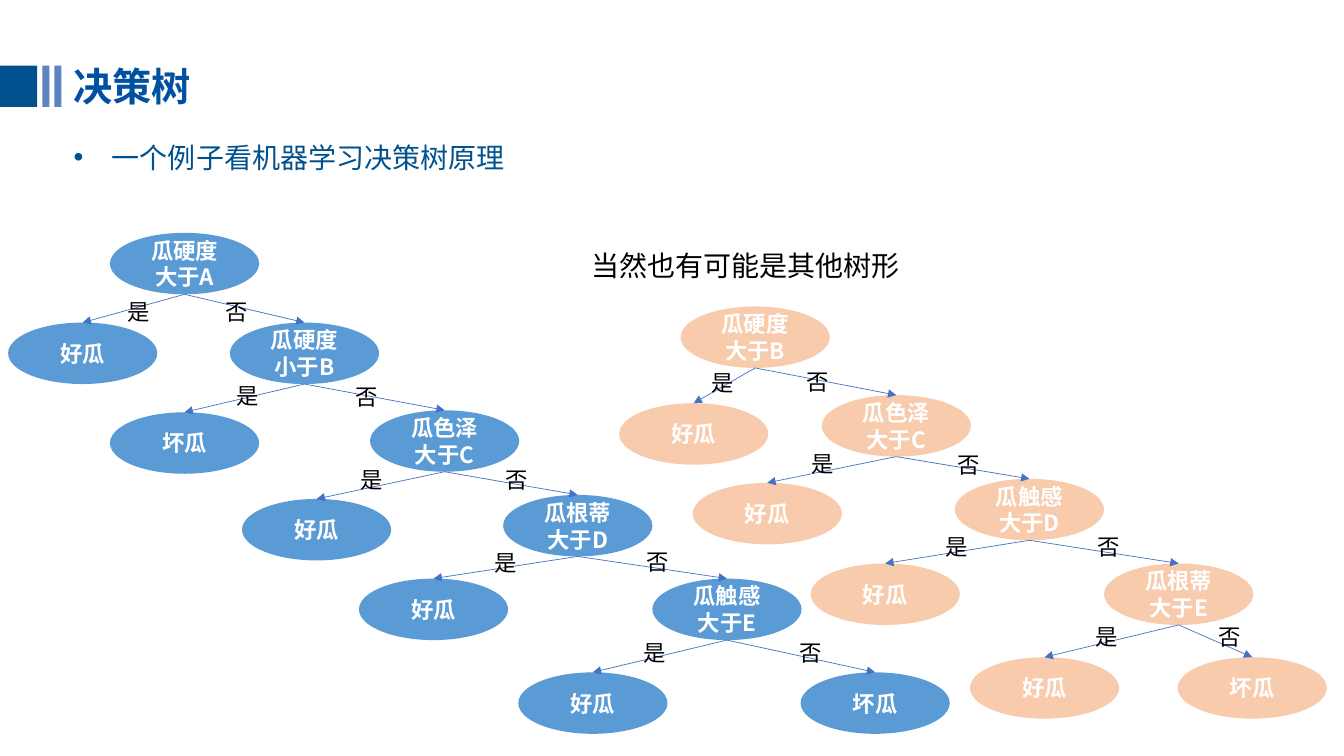
from dataclasses import dataclass

import pptx
import pptx.dml.color
import pptx.enum.shapes
import pptx.enum.text
import pptx.oxml
import pptx.oxml.ns
import pptx.util
from pptx.util import Inches

ALIGN = pptx.enum.text.PP_ALIGN
ANCHOR = pptx.enum.text.MSO_ANCHOR
SHAPE = pptx.enum.shapes.MSO_SHAPE
qn = pptx.oxml.ns.qn


@dataclass(frozen=True)
class Theme:
    font: str = "Noto Sans CJK SC"
    title: str = "0051A1"
    accent: str = "00518E"
    stripe: str = "5C84C1"
    first_tree: str = "5B9BD5"
    other_tree: str = "F8CBAD"
    branch: str = "4472C4"
    ink: str = "000000"
    node_ink: str = "FFFFFF"
    title_size: int = 28
    body_size: int = 20
    node_size: int = 16
    branch_width: float = 0.5


@dataclass(frozen=True)
class Level:
    """One question, its yes leaf, and both answers; points are relative to the tree."""
    question: str
    question_at: tuple
    leaf: str
    leaf_at: tuple
    yes_at: tuple
    no_at: tuple


THEME = Theme()
NODE_W, NODE_H = 1.48, 0.61
ANSWER_W, ANSWER_H = 0.69, 0.37

FIRST_TREE = [
    Level("瓜硬度\n大于A", (1.01, 0), "好瓜", (0, 0.89), (0.95, 0.6), (1.92, 0.6)),
    Level("瓜硬度\n小于B", (2.2, 0.89), "坏瓜", (1.01, 1.78), (2.03, 1.43), (3.21, 1.44)),
    Level("瓜色泽\n大于C", (3.59, 1.76), "好瓜", (2.32, 2.64), (3.26, 2.27), (4.7, 2.27)),
    Level("瓜根蒂大于D", (4.91, 2.6), "好瓜", (3.48, 3.43), (4.59, 3.09), (6.1, 3.08)),
    Level("瓜触感大于E", (6.39, 3.43), "好瓜", (5.06, 4.36), (6.07, 3.98), (7.62, 3.98)),
]
OTHER_TREE = [
    Level("瓜硬度\n大于B", (0.61, 0), "好瓜", (0, 0.96), (0.68, 0.57), (1.62, 0.56)),
    Level("瓜色泽\n大于C", (2.01, 0.88), "好瓜", (0.73, 1.75), (1.67, 1.38), (3.12, 1.39)),
    Level("瓜触感\n大于D", (3.33, 1.71), "好瓜", (1.9, 2.55), (3, 2.2), (4.51, 2.2)),
    Level("瓜根蒂大于E", (4.81, 2.55), "好瓜", (3.48, 3.48), (4.49, 3.09), (5.71, 3.09)),
]


def rgb(color):
    return pptx.dml.color.RGBColor.from_string(color)


def write(frame, text, size, color, bold=False, align=ALIGN.CENTER, anchor=ANCHOR.TOP):
    """Fill a text frame, one paragraph per line of text."""
    frame.word_wrap = True
    frame.vertical_anchor = anchor
    for index, line in enumerate(text.split("\n")):
        paragraph = frame.add_paragraph() if index else frame.paragraphs[0]
        paragraph.alignment = align
        paragraph.space_before = pptx.util.Pt(0)
        run = paragraph.add_run()
        run.text = line
        run.font.size = pptx.util.Pt(size)
        run.font.bold = bold
        run.font.color.rgb = rgb(color)
        run.font.name = THEME.font
        east_asian = pptx.oxml.parse_xml(f'<a:ea {pptx.oxml.ns.nsdecls("a")}/>')
        east_asian.set("typeface", THEME.font)
        run.font._element.append(east_asian)


def add_filled(shapes, preset, left, top, width, height, color):
    shape = shapes.add_shape(preset, Inches(left), Inches(top), Inches(width), Inches(height))
    shape.shadow.inherit = False
    shape.fill.solid()
    shape.fill.fore_color.rgb = rgb(color)
    shape.line.fill.background()
    return shape


def add_label(shapes, text, left, top, width, height, size):
    label = shapes.add_textbox(Inches(left), Inches(top), Inches(width), Inches(height))
    write(label.text_frame, text, size, THEME.ink)
    return label


def place(placeholder, left, top, width, height):
    placeholder.left, placeholder.top = Inches(left), Inches(top)
    placeholder.width, placeholder.height = Inches(width), Inches(height)
    placeholder.text_frame.auto_size = pptx.enum.text.MSO_AUTO_SIZE.NONE


def add_heading(slide, left, top, width, height):
    place(slide.shapes.title, left + 0.63, top - 0.08, width, height + 0.16)
    write(slide.shapes.title.text_frame, "决策树", THEME.title_size, THEME.title,
          bold=True, align=ALIGN.LEFT)
    bars = [(0, 0.37, THEME.accent), (0.42, 0.07, THEME.stripe), (0.54, 0.07, THEME.stripe)]
    for offset, bar_width, color in bars:
        add_filled(slide.shapes, SHAPE.RECTANGLE, left + offset, top, bar_width, height, color)


def add_topic(slide, left, top, width, height):
    topic = slide.placeholders[1]
    place(topic, left, top, width, height)
    properties = topic.text_frame.paragraphs[0]._p.get_or_add_pPr()
    properties.set("marL", str(Inches(0.38)))
    properties.set("indent", str(Inches(-0.38)))
    properties.append(pptx.oxml.parse_xml(
        f'<a:buFont {pptx.oxml.ns.nsdecls("a")} typeface="Arial"/>'))
    properties.append(pptx.oxml.parse_xml(
        f'<a:buChar {pptx.oxml.ns.nsdecls("a")} char="•"/>'))
    write(topic.text_frame, "一个例子看机器学习决策树原理", THEME.body_size, THEME.accent,
          align=ALIGN.LEFT)


def add_branch(shapes, parent, child):
    """Arrow from the bottom of the parent ellipse to the top of its child."""
    branch = shapes.add_connector(pptx.enum.shapes.MSO_CONNECTOR.STRAIGHT, 0, 0, 0, 0)
    branch.begin_connect(parent, 2)
    branch.end_connect(child, 0)
    # An ellipse has eight connection sites; its bottom is number 4.
    branch._element.find(".//" + qn("a:stCxn")).set("idx", "4")
    branch.line.color.rgb = rgb(THEME.branch)
    branch.line.width = pptx.util.Pt(THEME.branch_width)
    branch.line._get_or_add_ln().append(pptx.oxml.parse_xml(
        f'<a:tailEnd {pptx.oxml.ns.nsdecls("a")} type="triangle"/>'))
    branch._element.spPr.append(pptx.oxml.parse_xml(
        f'<a:effectLst {pptx.oxml.ns.nsdecls("a")}/>'))


def add_tree(slide, left, top, levels, last_leaf, last_leaf_at, color):
    shapes = slide.shapes.add_group_shape().shapes

    def add_node(text, at):
        node = add_filled(shapes, SHAPE.OVAL, left + at[0], top + at[1], NODE_W, NODE_H, color)
        write(node.text_frame, text, THEME.node_size, THEME.node_ink, bold=True,
              anchor=ANCHOR.MIDDLE)
        return node

    questions = [add_node(level.question, level.question_at) for level in levels]
    leaves = [add_node(level.leaf, level.leaf_at) for level in levels]
    no_children = questions[1:] + [add_node(last_leaf, last_leaf_at)]
    for question, leaf, no_child in zip(questions, leaves, no_children):
        add_branch(shapes, question, leaf)
        add_branch(shapes, question, no_child)
    for level in levels:
        for answer, at in (("是", level.yes_at), ("否", level.no_at)):
            add_label(shapes, answer, left + at[0], top + at[1], ANSWER_W, ANSWER_H,
                      THEME.node_size)


def main():
    deck = pptx.Presentation()
    deck.slide_width, deck.slide_height = Inches(13.33), Inches(7.5)
    slide = deck.slides.add_slide(deck.slide_layouts[1])
    add_heading(slide, 0, 0.65, 3.79, 0.41)
    add_topic(slide, 0.63, 1.34, 11.6, 0.44)
    add_tree(slide, 6.14, 3.04, OTHER_TREE, "坏瓜", (5.54, 3.48), THEME.other_tree)
    caption = add_label(slide.shapes, "当然也有可能是其他树形", 4.95, 2.25, 4.89, 0.55,
                        THEME.body_size)
    caption.text_frame.paragraphs[0].line_spacing = 1.5
    add_tree(slide, 0.08, 2.31, FIRST_TREE, "坏瓜", (7.86, 4.36), THEME.first_tree)
    deck.save("out.pptx")


if __name__ == "__main__":
    main()
